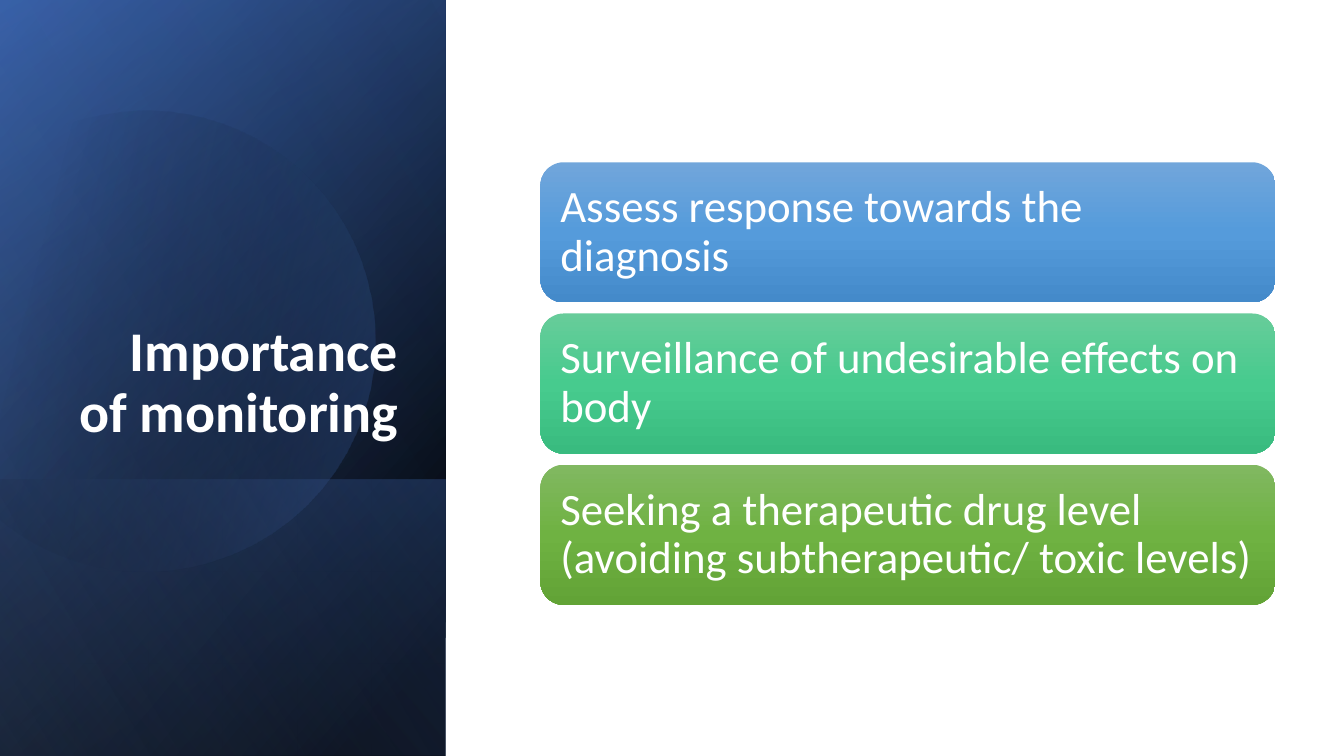
import math

import pptx
import pptx.dml.color
import pptx.enum.shapes
import pptx.enum.text
import pptx.oxml
import pptx.oxml.ns
import pptx.util

Inches = pptx.util.Inches
RGBColor = pptx.dml.color.RGBColor
SHAPE = pptx.enum.shapes.MSO_SHAPE
ALIGN = pptx.enum.text.PP_ALIGN
ANCHOR = pptx.enum.text.MSO_ANCHOR

FONT = "Calibri"
WHITE = RGBColor(0xFF, 0xFF, 0xFF)
BLACK = RGBColor(0x00, 0x00, 0x00)
NAVY = RGBColor(0x2F, 0x55, 0x97)
BLUE = RGBColor(0x44, 0x72, 0xC4)
PALE_BLUE = RGBColor(0x8F, 0xAA, 0xDC)
CARD_BLUES = (RGBColor(0x71, 0xA6, 0xDB), RGBColor(0x55, 0x9B, 0xDB), RGBColor(0x44, 0x8A, 0xCA))
CARD_TEALS = (RGBColor(0x67, 0xCC, 0x9A), RGBColor(0x47, 0xCB, 0x8E), RGBColor(0x39, 0xBB, 0x7F))
CARD_GREENS = (RGBColor(0x81, 0xB8, 0x61), RGBColor(0x6F, 0xB2, 0x42), RGBColor(0x62, 0xA3, 0x36))

CARDS = [
    ("Assess response towards the diagnosis", CARD_BLUES),
    ("Surveillance of undesirable effects on body", CARD_TEALS),
    ("Seeking a therapeutic drug level (avoiding subtherapeutic/ toxic levels)", CARD_GREENS),
]

# Left, top, width, height before the quarter turn; gradient stops are
# (position %, colour, opacity %).
PANEL = (-1.54, 1.54, 7.5, 4.42)
PANEL_FOOT = (0.84, 3.92, 2.74, 4.42)
BASE_LAYERS = [
    (PANEL, [(8, BLACK, 100), (100, NAVY, 100)], 50),
    (PANEL, [(0, BLACK, 0), (99, BLUE, 46)], 30),
    (PANEL_FOOT, [(2, BLUE, 29), (100, BLACK, 30)], 130),
]
TOP_LAYER = (PANEL, [(0, BLACK, 0), (99, PALE_BLUE, 11)], 120)

# Disc outline on the slide, in inches: each segment is a Bezier curve
# (three points) or a straight line (one point).
DISC_START = (1.49, 1.1)
DISC_SEGMENTS = [
    [(2.46, 1.12), (3.35, 1.77), (3.63, 2.75)],
    [(3.98, 3.97), (3.28, 5.23), (2.07, 5.58)],
    [(1.31, 5.8), (0.53, 5.61), (-0.03, 5.14)],
    [(-0.15, 5.03)],
    [(-0.15, 1.75)],
    [(0, 1.61)],
    [(0.23, 1.42), (0.5, 1.28), (0.8, 1.19)],
    [(1.03, 1.13), (1.26, 1.1), (1.49, 1.1)],
]
DISC_CENTER = (1.58, 3.35)
DISC_TURN = -16.1


def set_gradient(shape, stops, angle):
    """Fill with a clockwise linear gradient and drop the line and shadow."""
    shape.shadow.inherit = False
    shape.line.fill.background()
    shape.fill.gradient()
    shape.fill.gradient_angle = 360 - angle
    stop_list = shape._element.spPr.find(".//" + pptx.oxml.ns.qn("a:gsLst"))
    for stop in list(stop_list):
        stop_list.remove(stop)
    for position, color, opacity in stops:
        stop_list.append(pptx.oxml.parse_xml(
            f'<a:gs {pptx.oxml.ns.nsdecls("a")} pos="{position * 1000}">'
            f'<a:srgbClr val="{color}"><a:alpha val="{opacity * 1000}"/></a:srgbClr></a:gs>'))


def set_text(shape, text, *, size, bold=False, align=ALIGN.LEFT, anchor=ANCHOR.MIDDLE, inset=0.1):
    tf = shape.text_frame
    tf.word_wrap = True
    tf.auto_size = pptx.enum.text.MSO_AUTO_SIZE.NONE
    tf.vertical_anchor = anchor
    tf.margin_left = tf.margin_right = Inches(inset)
    p = tf.paragraphs[0]
    p.alignment = align
    p.line_spacing = 0.9
    r = p.add_run()
    r.text = text
    r.font.name = FONT
    r.font.size = pptx.util.Pt(size)
    r.font.bold = bold
    r.font.color.rgb = WHITE


def add_layer(s, box, stops, angle):
    """Add a mirrored rectangle turned by 90 degrees."""
    layer = s.shapes.add_shape(SHAPE.RECTANGLE, *map(Inches, box))
    layer.rotation = 90
    layer._element.spPr.xfrm.set("flipH", "1")
    set_gradient(layer, stops, angle)


def bezier_points(start, c1, c2, end, steps=16):
    for i in range(1, steps + 1):
        t = i / steps
        weights = ((1 - t) ** 3, 3 * t * (1 - t) ** 2, 3 * t ** 2 * (1 - t), t ** 3)
        yield tuple(sum(w * pt[axis] for w, pt in zip(weights, (start, c1, c2, end)))
                    for axis in (0, 1))


def unturned(point):
    """Undo the disc's rotation, giving a point in its own frame in EMU."""
    angle = math.radians(-DISC_TURN)
    dx, dy = point[0] - DISC_CENTER[0], point[1] - DISC_CENTER[1]
    return (Inches(DISC_CENTER[0] + dx * math.cos(angle) - dy * math.sin(angle)),
            Inches(DISC_CENTER[1] + dx * math.sin(angle) + dy * math.cos(angle)))


def add_disc(s):
    points = [DISC_START]
    for segment in DISC_SEGMENTS:
        points.extend(bezier_points(points[-1], *segment) if len(segment) == 3 else segment)
    outline = [unturned(point) for point in points]
    builder = s.shapes.build_freeform(*outline[0])
    builder.add_line_segments(outline[1:], close=True)
    disc = builder.convert_to_shape()
    disc.rotation = DISC_TURN
    set_gradient(disc, [(29, BLACK, 0), (100, BLUE, 43)], 30)


def add_title(s, text):
    title = s.shapes.title
    title.left, title.top, title.width, title.height = map(Inches, (0.64, 1.84, 3.41, 2.62))
    set_text(title, text, size=40, bold=True, align=ALIGN.RIGHT, anchor=ANCHOR.BOTTOM)
    s.shapes._spTree.append(title._element)  # bring in front of the panel


def add_card(s, top, text, colors):
    card = s.shapes.add_shape(SHAPE.ROUNDED_RECTANGLE, Inches(5.36), Inches(top),
                              Inches(7.29), Inches(1.39))
    set_gradient(card, [(pos, color, 100) for pos, color in zip((0, 50, 100), colors)], 90)
    set_text(card, text, size=32, inset=0.13)


def main():
    prs = pptx.Presentation()
    prs.slide_width, prs.slide_height = Inches(13.33), Inches(7.5)
    s = prs.slides.add_slide(prs.slide_layouts[5])
    for layer in BASE_LAYERS:
        add_layer(s, *layer)
    add_disc(s)
    add_layer(s, *TOP_LAYER)
    add_title(s, "Importance of monitoring")
    for i, (text, colors) in enumerate(CARDS):
        add_card(s, 1.61 + 1.5 * i, text, colors)
    prs.save("out.pptx")


if __name__ == "__main__":
    main()
